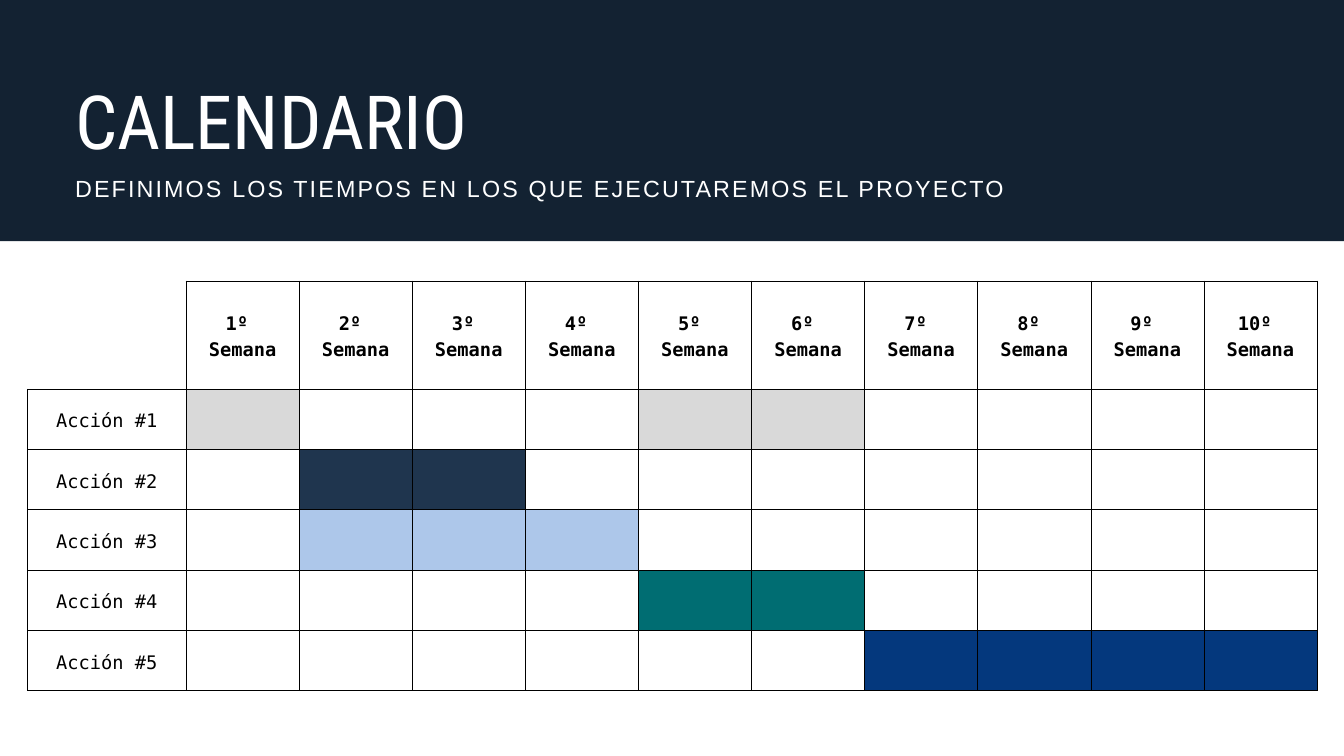
from lxml import etree
from pptx import Presentation
from pptx.dml.color import RGBColor
from pptx.enum import shapes, text
from pptx.oxml.ns import qn
from pptx.util import Cm, Pt

TITLE = "CALENDARIO"
SUBTITLE = "DEFINIMOS LOS TIEMPOS EN LOS QUE EJECUTAREMOS EL PROYECTO"
WEEKS = 10
# Action, its colour and the weeks it takes
ACTIONS = [
    ("Acción #1", "D9D9D9", (1, 5, 6)),
    ("Acción #2", "1F354E", (2, 3)),
    ("Acción #3", "ADC7EA", (2, 3, 4)),
    ("Acción #4", "006D72", (5, 6)),
    ("Acción #5", "04387D", (7, 8, 9, 10)),
]

THEME = {
    "band": "132232", "light": "FFFFFF", "ink": "000000",
    "title": ("Roboto Condensed", 80, 92),  # font, size, line spacing
    "subtitle": ("Arial", 25, 36.2),
    "table": ("DejaVu Sans Mono", 20, 28),
}
SLIDE_W, SLIDE_H = Cm(50.8), Cm(28.58)
BAND_H = Cm(9.12)
TABLE_LEFT, TABLE_TOP, TABLE_W = Cm(1.04), Cm(10.62), Cm(48.74)
LABEL_W, HEADER_H, ACTION_H = Cm(5.99), Cm(4.09), Cm(2.28)
CELL_MARGIN = Cm(0.3)


def write(frame, lines, style, color, align, bold=False):
    font_name, size, spacing = THEME[style]
    frame.text = "\n".join(lines)
    for paragraph in frame.paragraphs:
        paragraph.alignment = align
        paragraph.line_spacing = Pt(spacing)
        font = paragraph.font
        font.name, font.size, font.bold = font_name, Pt(size), bold
        font.color.rgb = RGBColor.from_string(THEME[color])


def place_heading(shape, box, line, style):
    shape.left, shape.top, shape.width, shape.height = map(Cm, box)
    frame = shape.text_frame
    frame.margin_left = frame.margin_right = frame.margin_top = frame.margin_bottom = 0
    frame.word_wrap = True
    frame.auto_size = text.MSO_AUTO_SIZE.NONE
    frame.vertical_anchor = text.MSO_ANCHOR.TOP
    write(frame, [line], style, "light", text.PP_ALIGN.LEFT)


def set_borders(cell, color):
    properties = cell._tc.get_or_add_tcPr()
    for side in ("lnL", "lnR", "lnT", "lnB"):
        line = etree.SubElement(properties, qn(f"a:{side}"), w=str(Pt(0.75)))
        fill = etree.SubElement(line, qn("a:solidFill"))
        etree.SubElement(fill, qn("a:srgbClr"), val=color)


def write_cell(cell, lines, bold=False):
    cell.margin_left = cell.margin_right = CELL_MARGIN
    cell.margin_top = cell.margin_bottom = CELL_MARGIN
    cell.vertical_anchor = text.MSO_ANCHOR.MIDDLE
    write(cell.text_frame, lines, "table", "ink", text.PP_ALIGN.CENTER, bold)


def add_header(slide):
    title = slide.shapes.title
    band = slide.shapes.add_shape(
        shapes.MSO_SHAPE.RECTANGLE, 0, 0, SLIDE_W, BAND_H)
    band.shadow.inherit = False
    band.fill.solid()
    band.fill.fore_color.rgb = RGBColor.from_string(THEME["band"])
    band.line.fill.background()
    title._element.addprevious(band._element)  # the band lies behind the title

    place_heading(title, (2.84, 2.97, 36.4, 3.25), TITLE, "title")
    subtitle = slide.shapes.add_textbox(0, 0, 0, 0)
    place_heading(subtitle, (2.84, 6.35, 38, 1.24), SUBTITLE, "subtitle")
    run = subtitle.text_frame.paragraphs[0].runs[0]
    run._r.get_or_add_rPr().set("spc", "230")


def add_calendar(slide):
    height = HEADER_H + ACTION_H * len(ACTIONS)
    table = slide.shapes.add_table(
        len(ACTIONS) + 1, WEEKS + 1, TABLE_LEFT, TABLE_TOP, TABLE_W, height).table
    table.first_row = table.horz_banding = False
    for index, column in enumerate(table.columns):
        column.width = (TABLE_W - LABEL_W) // WEEKS if index else LABEL_W
    for index, row in enumerate(table.rows):
        row.height = ACTION_H if index else HEADER_H

    corner = table.cell(0, 0)
    for cell in table.iter_cells():
        is_corner = cell._tc is corner._tc
        set_borders(cell, THEME["light" if is_corner else "ink"])
        cell.fill.background()

    for week in range(1, WEEKS + 1):
        write_cell(table.cell(0, week), [f"{week}º ", "Semana"], bold=True)
    for row, (action, color, weeks) in enumerate(ACTIONS, start=1):
        write_cell(table.cell(row, 0), [action])
        for week in weeks:
            fill = table.cell(row, week).fill
            fill.solid()
            fill.fore_color.rgb = RGBColor.from_string(color)


def main():
    deck = Presentation()
    deck.slide_width, deck.slide_height = SLIDE_W, SLIDE_H
    slide = deck.slides.add_slide(deck.slide_layouts.get_by_name("Title Only"))
    add_header(slide)
    add_calendar(slide)
    deck.save("out.pptx")


if __name__ == "__main__":
    main()
